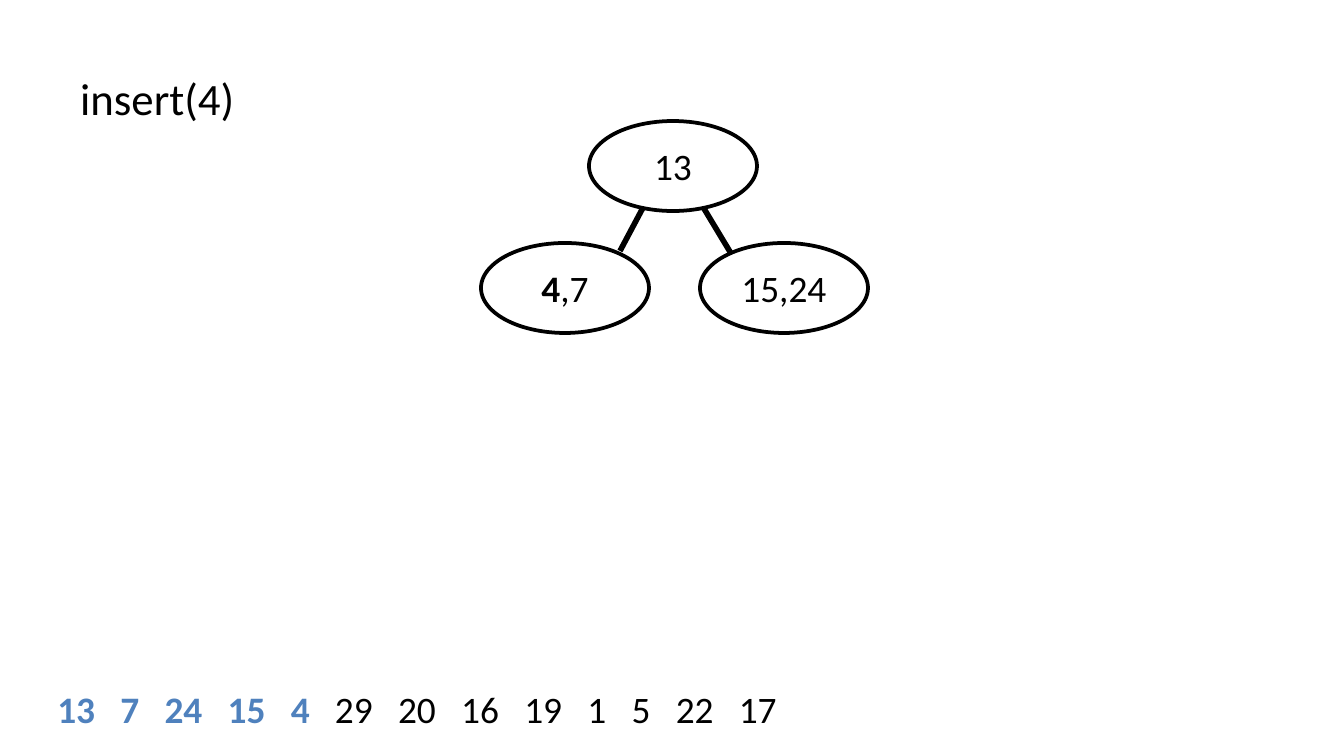
from dataclasses import dataclass

from lxml.etree import SubElement
from pptx import Presentation
from pptx.dml.color import RGBColor
from pptx.enum.shapes import MSO_CONNECTOR, MSO_SHAPE
from pptx.enum.text import MSO_ANCHOR, MSO_AUTO_SIZE, PP_ALIGN
from pptx.oxml.ns import qn
from pptx.util import Pt


@dataclass(frozen=True)
class Theme:
    font: str = "Calibri"
    ink: RGBColor = RGBColor(0, 0, 0)
    paper: RGBColor = RGBColor(255, 255, 255)
    done: RGBColor = RGBColor(0x4F, 0x81, 0xBD)
    title_size: int = 24
    text_size: int = 20
    outline: int = 2
    branch: int = 3


THEME = Theme()
SCALE = 914400 / 134.4
PAGE_SIZE = (1344, 756)

OPERATION = "insert(4)"
OPERATION_BOX = (67, 64, 183, 67)
INSERTED = [13, 7, 24, 15, 4]
WAITING = [29, 20, 16, 19, 1, 5, 22, 17]
SEQUENCE_BOX = (44, 680, 1232, 59)
DIGIT_WIDTH, NUMBER_GAP = 18.9, 25.3

NODE_SIZE = (168, 90)
NODES = [
    ((589, 121), [("13", False)]),
    ((481, 243), [("4", True), (",7", False)]),
    ((700, 243), [("15,24", False)]),
]
BRANCHES = [(645, 204, 620, 251), (700, 202, 732, 255)]


def px(*lengths):
    return [round(length * SCALE) for length in lengths]


def add_span(para, text, size=THEME.text_size, color=THEME.ink, bold=False):
    span = para.add_run()
    span.text = text
    span.font.name = THEME.font
    span.font.size = Pt(size)
    span.font.color.rgb = color
    span.font.bold = bold


def add_text_box(page, place, wrap):
    frame = page.shapes.add_textbox(*px(*place)).text_frame
    frame.word_wrap = wrap
    frame.auto_size = MSO_AUTO_SIZE.SHAPE_TO_FIT_TEXT
    return frame.paragraphs[0]


def add_branch(page, ends):
    branch = page.shapes.add_connector(MSO_CONNECTOR.STRAIGHT, *px(*ends))
    branch.line.color.rgb = THEME.ink
    branch.line.width = Pt(THEME.branch)
    SubElement(branch._element.spPr, qn("a:effectLst"))


def add_node(page, corner, keys):
    node = page.shapes.add_shape(MSO_SHAPE.OVAL, *px(*corner, *NODE_SIZE))
    node.shadow.inherit = False
    node.fill.solid()
    node.fill.fore_color.rgb = THEME.paper
    node.line.color.rgb = THEME.ink
    node.line.width = Pt(THEME.outline)
    frame = node.text_frame
    frame.margin_left = frame.margin_right = 0
    frame.vertical_anchor = MSO_ANCHOR.MIDDLE
    para = frame.paragraphs[0]
    para.alignment = PP_ALIGN.CENTER
    for text, bold in keys:
        add_span(para, text, bold=bold)


def add_sequence(page):
    para = add_text_box(page, SEQUENCE_BOX, True)
    stops = SubElement(para._p.get_or_add_pPr(), qn("a:tabLst"))
    stop = 0
    for number in (INSERTED + WAITING)[:-1]:
        stop += DIGIT_WIDTH * len(str(number)) + NUMBER_GAP
        SubElement(stops, qn("a:tab"), pos=str(px(stop)[0]), algn="l")
    add_span(para, "\t".join(map(str, INSERTED)) + "\t", color=THEME.done, bold=True)
    add_span(para, "\t".join(map(str, WAITING)))


def main():
    deck = Presentation()
    deck.slide_width, deck.slide_height = px(*PAGE_SIZE)
    page = deck.slides.add_slide(deck.slide_layouts[6])
    for ends in BRANCHES:
        add_branch(page, ends)
    add_sequence(page)
    add_span(add_text_box(page, OPERATION_BOX, False), OPERATION, THEME.title_size)
    for corner, keys in NODES:
        add_node(page, corner, keys)
    deck.save("out.pptx")


if __name__ == "__main__":
    main()
